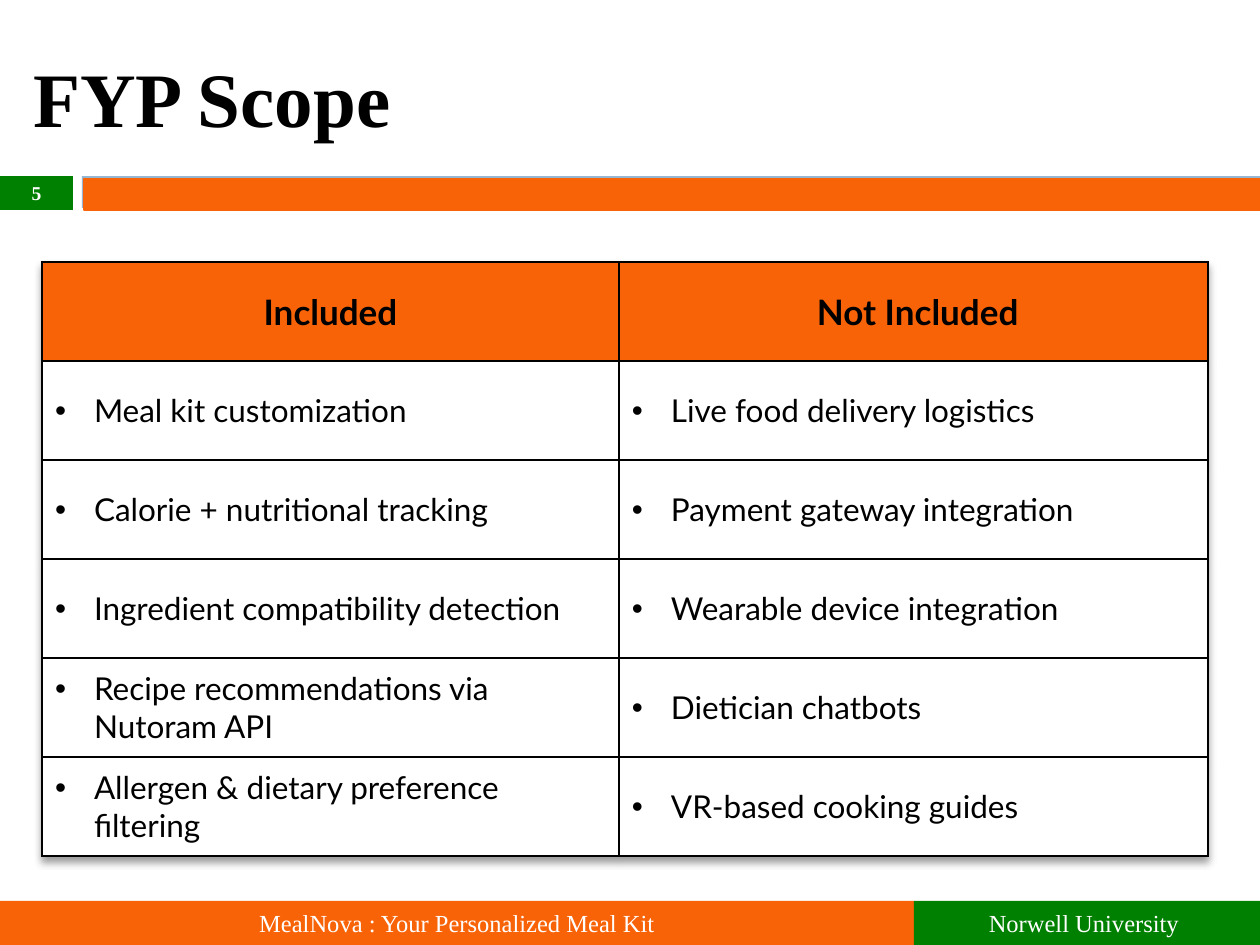
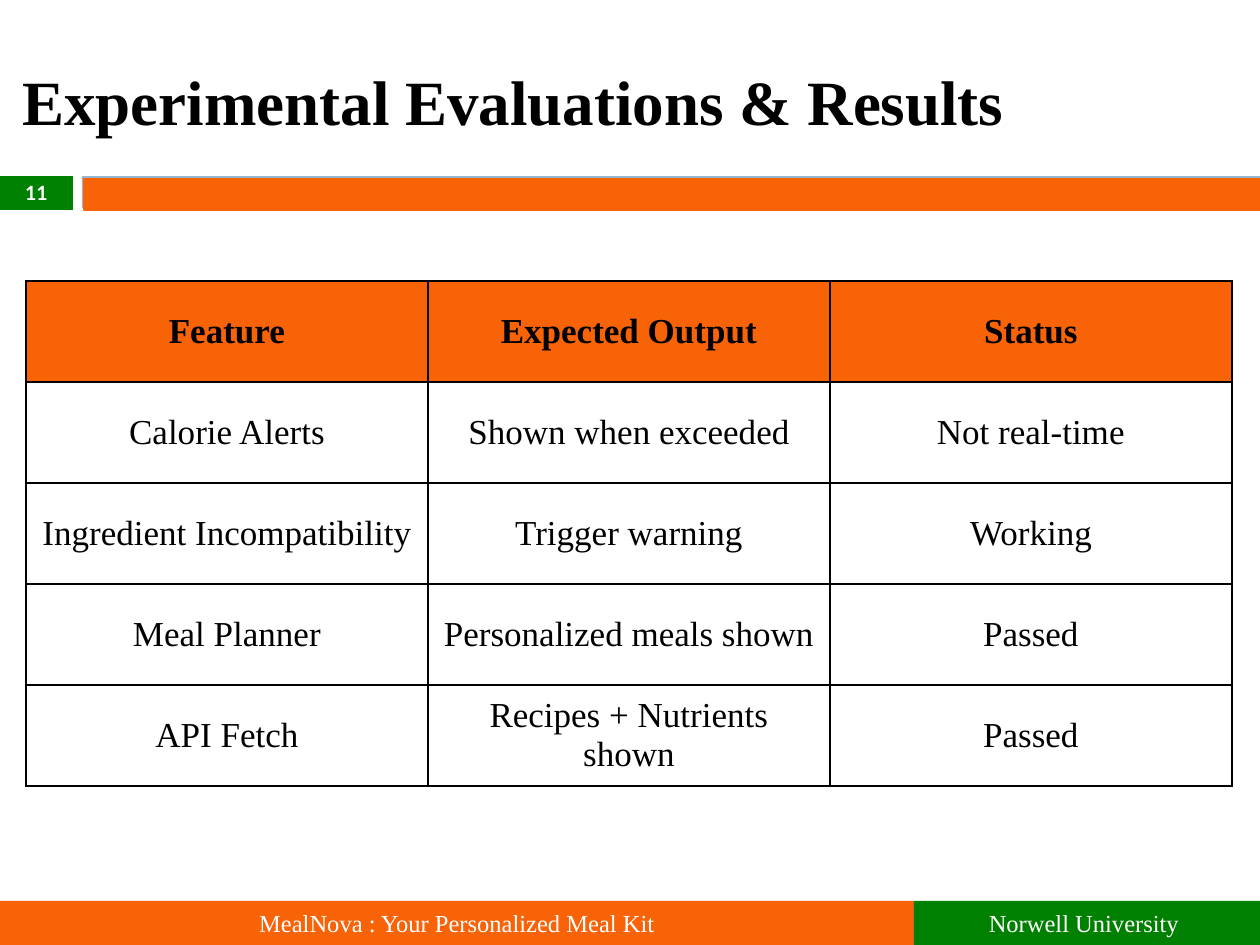
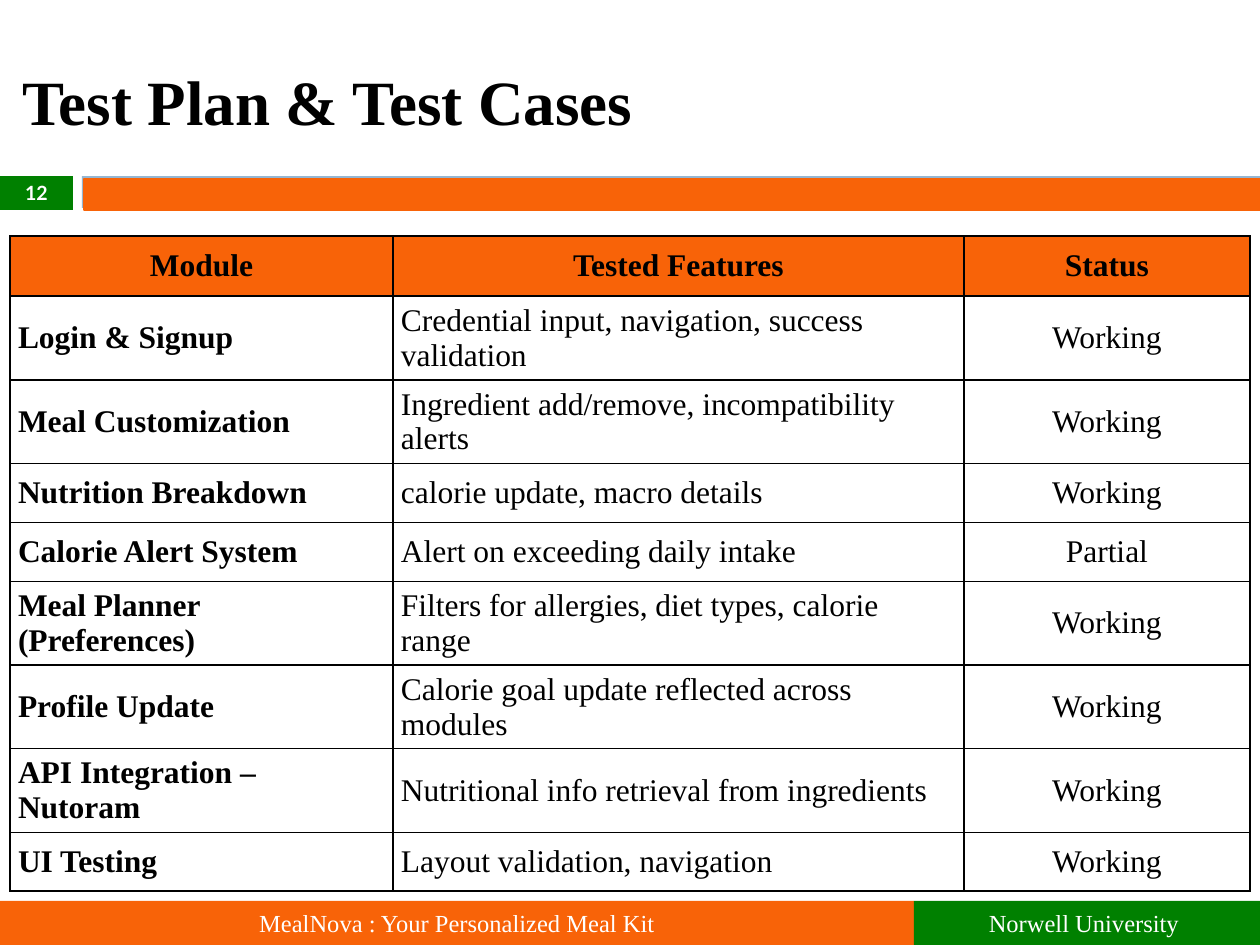
import dataclasses

import pptx
import pptx.dml.color
import pptx.enum.shapes
import pptx.enum.text
import pptx.oxml
import pptx.oxml.ns
import pptx.util

ORANGE = pptx.dml.color.RGBColor(0xF8, 0x63, 0x08)
GREEN = pptx.dml.color.RGBColor(0x00, 0x80, 0x00)
BLUE = pptx.dml.color.RGBColor(0x94, 0xB6, 0xD2)
BLACK = pptx.dml.color.RGBColor(0x00, 0x00, 0x00)
WHITE = pptx.dml.color.RGBColor(0xFF, 0xFF, 0xFF)

SERIF = "Times New Roman"
SANS = "Lato"
LEFT = pptx.enum.text.PP_ALIGN.LEFT
CENTER = pptx.enum.text.PP_ALIGN.CENTER
MIDDLE = pptx.enum.text.MSO_ANCHOR.MIDDLE
RECTANGLE = pptx.enum.shapes.MSO_SHAPE.RECTANGLE
NAMESPACE = pptx.oxml.ns.nsdecls("a")

SLIDE_WIDTH = 1260
SLIDE_HEIGHT = 945
BAND_TOP = 176
FOOTER_TOP = 901
FOOTER_SPLIT = 914
BULLET_INDENT = 39


@dataclasses.dataclass
class Column:
    width: int
    align: int = CENTER
    bold: bool = False
    bullet: bool = False


@dataclasses.dataclass
class TableStyle:
    font: str
    header_size: int
    body_size: int
    margin_x: int = 13
    margin_y: int = 6


def px(length):
    return pptx.util.Emu(round(length * 914400 / 126))


def add_span(para, text, font, size, color, bold=False):
    span = para.add_run()
    span.text = text
    span.font.name = font
    span.font.size = pptx.util.Pt(size)
    span.font.color.rgb = color
    span.font.bold = bold


def add_band(page, left, top, right, bottom, color):
    band = page.shapes.add_shape(
        RECTANGLE, px(left), px(top), px(right - left), px(bottom - top))
    band.shadow.inherit = False
    band.fill.solid()
    band.fill.fore_color.rgb = color
    band.line.fill.background()
    return band


def add_label(band, text, font, size, bold=False):
    frame = band.text_frame
    frame.word_wrap = True
    frame.vertical_anchor = MIDDLE
    frame.margin_top = frame.margin_bottom = 0
    para = frame.paragraphs[0]
    para.alignment = CENTER
    add_span(para, text, font, size, WHITE, bold)


def add_title(page, text, left, top, width, size):
    box = page.shapes.add_textbox(px(left), px(top), px(width), px(136))
    frame = box.text_frame
    frame.word_wrap = True
    frame.vertical_anchor = MIDDLE
    add_span(frame.paragraphs[0], text, SERIF, size, BLACK, True)


def add_page(deck, number, number_font):
    page = deck.slides.add_slide(deck.slide_layouts[6])
    add_band(page, 82, BAND_TOP, SLIDE_WIDTH, 208, BLUE)
    stripe = add_band(page, 84, 179, SLIDE_WIDTH, 210, ORANGE)
    stripe.line.color.rgb = ORANGE
    stripe.line.width = pptx.util.Pt(1.5)
    add_label(add_band(page, 0, BAND_TOP, 73, 210, GREEN),
              str(number), number_font, 11.2, True)
    add_label(add_band(page, 0, FOOTER_TOP, FOOTER_SPLIT, SLIDE_HEIGHT, ORANGE),
              "MealNova : Your Personalized Meal Kit", SERIF, 14)
    add_label(add_band(page, FOOTER_SPLIT, FOOTER_TOP, SLIDE_WIDTH, SLIDE_HEIGHT, GREEN),
              "Norwell University ", SERIF, 14)
    return page


def add_borders(cell):
    properties = cell._tc.get_or_add_tcPr()
    for side in ("lnL", "lnR", "lnT", "lnB"):
        properties.append(pptx.oxml.parse_xml(
            f'<a:{side} {NAMESPACE} w="{pptx.util.Pt(1)}"><a:solidFill>'
            f'<a:srgbClr val="{BLACK}"/></a:solidFill></a:{side}>'))


def add_bullet(para):
    properties = para._p.get_or_add_pPr()
    properties.set("marL", str(px(BULLET_INDENT)))
    properties.set("indent", str(-px(BULLET_INDENT)))
    properties.append(pptx.oxml.parse_xml(f'<a:buFont {NAMESPACE} typeface="Arial"/>'))
    properties.append(pptx.oxml.parse_xml(f'<a:buChar {NAMESPACE} char="•"/>'))


def fill_cell(cell, text, column, style, is_header):
    add_borders(cell)
    cell.fill.solid()
    cell.fill.fore_color.rgb = ORANGE if is_header else WHITE
    cell.vertical_anchor = MIDDLE
    cell.margin_left = cell.margin_right = px(style.margin_x)
    cell.margin_top = cell.margin_bottom = px(style.margin_y)
    para = cell.text_frame.paragraphs[0]
    para.alignment = CENTER if is_header else column.align
    if column.bullet and not is_header:
        add_bullet(para)
    size = style.header_size if is_header else style.body_size
    add_span(para, text, style.font, size, BLACK, is_header or column.bold)


def add_grid(page, left, top, columns, heights, rows, style):
    width = sum(column.width for column in columns)
    frame = page.shapes.add_table(
        len(rows), len(columns), px(left), px(top), px(width), px(sum(heights)))
    table = frame.table
    table.first_row = False
    table.horz_banding = False
    for index, column in enumerate(columns):
        table.columns[index].width = px(column.width)
    for row_index, texts in enumerate(rows):
        table.rows[row_index].height = px(heights[row_index])
        for index, text in enumerate(texts):
            fill_cell(table.cell(row_index, index), text, columns[index],
                      style, row_index == 0)
    return table


def add_table_shadow(table):
    table._tbl.tblPr.insert(0, pptx.oxml.parse_xml(
        f'<a:effectLst {NAMESPACE}><a:outerShdw blurRad="50800" dist="38100" '
        'dir="5400000" algn="t" rotWithShape="0"><a:srgbClr val="000000">'
        '<a:alpha val="40000"/></a:srgbClr></a:outerShdw></a:effectLst>'))


def build_scope(deck):
    page = add_page(deck, 5, SERIF)
    add_title(page, "FYP Scope", 21, 29, 1050, 44)
    rows = [
        ("Included", " Not Included"),
        ("Meal kit customization", "Live food delivery logistics"),
        ("Calorie + nutritional tracking", "Payment gateway integration"),
        ("Ingredient compatibility detection", "Wearable device integration"),
        ("Recipe recommendations via Nutoram API", "Dietician chatbots"),
        ("Allergen & dietary preference filtering", "VR-based cooking guides"),
    ]
    columns = [Column(width, LEFT, bullet=True) for width in (577, 589)]
    table = add_grid(page, 42, 262, columns, [99] * len(rows), rows,
                     TableStyle(SANS, 20, 18))
    add_table_shadow(table)


def build_results(deck):
    page = add_page(deck, 11, SANS)
    add_title(page, "Experimental Evaluations & Results", 10, 32, 1207, 36)
    rows = [
        ("Feature", "Expected Output", "Status"),
        ("Calorie Alerts", "Shown when exceeded", "Not real-time"),
        ("Ingredient Incompatibility", "Trigger warning", "Working"),
        ("Meal Planner", "Personalized meals shown", "Passed"),
        ("API Fetch", "Recipes + Nutrients shown", "Passed"),
    ]
    add_grid(page, 26, 281, [Column(402)] * 3, [101] * len(rows), rows,
             TableStyle(SERIF, 20, 20))


def build_test_plan(deck):
    page = add_page(deck, 12, SANS)
    add_title(page, "Test Plan & Test Cases", 10, 32, 1207, 36)
    rows = [
        ("Module", "Tested Features", "Status"),
        ("Login & Signup", "Credential input, navigation, success validation", "Working"),
        ("Meal Customization", "Ingredient add/remove, incompatibility alerts", "Working"),
        ("Nutrition Breakdown", "calorie update, macro details", "Working"),
        ("Calorie Alert System", "Alert on exceeding daily intake", "Partial"),
        ("Meal Planner (Preferences)", "Filters for allergies, diet types, calorie range", "Working"),
        ("Profile Update", "Calorie goal update reflected across modules", "Working"),
        ("API Integration – Nutoram", "Nutritional info retrieval from ingredients", "Working"),
        ("UI Testing", "Layout validation, navigation", "Working"),
    ]
    columns = [Column(383, LEFT, bold=True), Column(571, LEFT), Column(286)]
    heights = [60, 84, 81, 59, 59, 81, 81, 81, 59]
    add_grid(page, 10, 236, columns, heights, rows,
             TableStyle(SERIF, 18, 18, margin_x=8, margin_y=4))


def main():
    deck = pptx.Presentation()
    deck.slide_width = px(SLIDE_WIDTH)
    deck.slide_height = px(SLIDE_HEIGHT)
    build_scope(deck)
    build_results(deck)
    build_test_plan(deck)
    deck.save("out.pptx")


if __name__ == "__main__":
    main()
